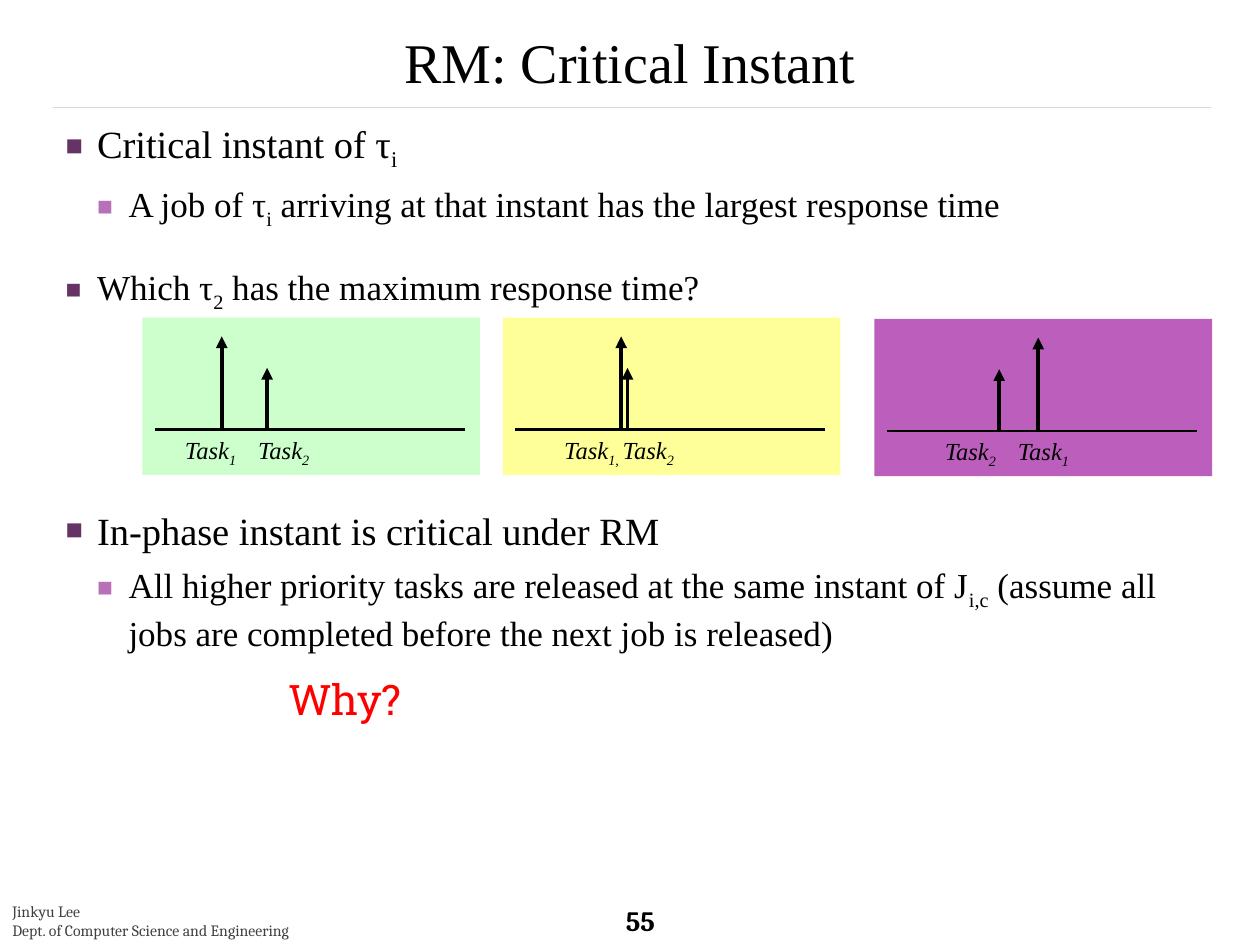
from lxml import etree
from pptx import Presentation
from pptx.dml.color import RGBColor
from pptx.enum.shapes import MSO_CONNECTOR, MSO_SHAPE
from pptx.enum.text import MSO_ANCHOR, MSO_AUTO_SIZE, PP_ALIGN
from pptx.oxml.ns import qn
from pptx.util import Inches, Pt

STRAIGHT = MSO_CONNECTOR.STRAIGHT
RECTANGLE = MSO_SHAPE.RECTANGLE
TOP, MIDDLE = MSO_ANCHOR.TOP, MSO_ANCHOR.MIDDLE
NO_AUTOFIT = MSO_AUTO_SIZE.NONE
CENTER = PP_ALIGN.CENTER

COLORS = {
    "text": "000000", "footer": "404040", "rule": "D9D9D9", "question": "FF0000",
    "bullet": "663366", "sub_bullet": "B870B8",
    "green": "CCFFCC", "yellow": "FFFF99", "purple": "BC5FBC",
}
SERIF, FOOTER_FONT, QUESTION_FONT = "Times New Roman", "Cambria", "Roboto Slab"

# text with subscripts between bars, level, indent, size, space before, bullet colour
BODY = [
    ("Critical instant of τ|i|", 0, 0.25, 22, 0, "bullet"),
    ("A job of τ|i| arriving at that instant has the largest response time",
     1, 0.5, 20, 6, "sub_bullet"),
    ("Which τ|2| has the maximum response time?", 1, 0.25, 20, 20, "bullet"),
    ("In-phase instant is critical under RM", 0, 0.25, 22, 110.5, "bullet"),
    ("All higher priority tasks are released at the same instant of J|i,c| "
     "(assume all jobs are completed before the next job is released)",
     1, 0.5, 20, 6, "sub_bullet"),
]

# left, top, fill, task 1 arrow, task 2 arrow, label offset, label
PANELS = [
    (1.13, 2.52, "green", 0.63, 0.99, 0.24, "Task|1|\tTask|2|"),
    (3.99, 2.52, "yellow", 0.94, 0.99, 0.39, "Task|1, |Task|2|"),
    (6.94, 2.53, "purple", 1.30, 0.99, 0.46, "Task|2|\tTask|1|"),
]
PANEL_WIDTH, PANEL_HEIGHT = 2.68, 1.25
AXIS_START, AXIS_END, AXIS_Y = 0.1, 2.56, 0.89
TASK_1_TOP, TASK_2_TOP = 0.15, 0.4
LABEL_TAB = 0.58


def color(name):
    return RGBColor.from_string(COLORS[name])


def place(shape, left, top, width, height):
    box = {"left": left, "top": top, "width": width, "height": height}
    for name, value in box.items():
        setattr(shape, name, Inches(value))


def write(paragraph, text, size, font=SERIF, color_name="text", **extra):
    """Add the text as runs; every second piece between bars is a subscript."""
    formats = {"size": Pt(size), "name": font, **extra}
    for index, piece in enumerate(text.split("|")):
        if not piece:
            continue
        run = paragraph.add_run()
        run.text = piece
        for name, value in formats.items():
            setattr(run.font, name, value)
        run.font.color.rgb = color(color_name)
        if index % 2:
            run._r.get_or_add_rPr().set("baseline", "-25000")


def add_bullet(paragraph, indent, color_name):
    properties = paragraph._p.get_or_add_pPr()
    properties.set("marL", str(Inches(indent)))
    properties.set("indent", str(Inches(-0.25)))
    bullet_color = etree.SubElement(properties, qn("a:buClr"))
    etree.SubElement(bullet_color, qn("a:srgbClr"), val=COLORS[color_name])
    etree.SubElement(properties, qn("a:buSzPct"), val="75000")
    etree.SubElement(properties, qn("a:buChar"), char="■")


def add_tab(paragraph, position):
    tabs = etree.SubElement(paragraph._p.get_or_add_pPr(), qn("a:tabLst"))
    etree.SubElement(tabs, qn("a:tab"), pos=str(Inches(position)), algn="l")


def add_text(shapes, box, lines, size, anchor=TOP, tab=None, **formats):
    text_box = shapes.add_textbox(*map(Inches, box))
    frame = text_box.text_frame
    frame.word_wrap = True
    frame.vertical_anchor = anchor
    for index, line in enumerate(lines):
        paragraph = frame.add_paragraph() if index else frame.paragraphs[0]
        if tab:
            add_tab(paragraph, tab)
        write(paragraph, line, size, **formats)


def add_line(shapes, start, end, width, color_name="text", arrow=False):
    line = shapes.add_connector(STRAIGHT, *map(Inches, (*start, *end)))
    line.line.color.rgb = color(color_name)
    line.line.width = Pt(width)
    if arrow:
        etree.SubElement(line.line._get_or_add_ln(), qn("a:tailEnd"), type="triangle")
    etree.SubElement(line._element.spPr, qn("a:effectLst"))


def add_panel(slide, left, top, fill, task_1, task_2, label_offset, label):
    """Group a coloured card with a time axis, two release arrows and a label."""
    shapes = slide.shapes.add_group_shape().shapes
    card = shapes.add_shape(
        RECTANGLE, *map(Inches, (left, top, PANEL_WIDTH, PANEL_HEIGHT)))
    card.shadow.inherit = False
    card.fill.solid()
    card.fill.fore_color.rgb = color(fill)
    card.line.fill.background()

    axis = top + AXIS_Y
    add_line(shapes, (left + AXIS_START, axis), (left + AXIS_END, axis), 1.5)
    for offset, tip in ((task_1, TASK_1_TOP), (task_2, TASK_2_TOP)):
        x = left + offset
        add_line(shapes, (x, axis), (x, top + tip), 2.25, arrow=True)
    add_text(shapes, (left + label_offset, top + 0.88, 1.3, 0.34), [label], 14,
             tab=LABEL_TAB if "\t" in label else None, italic=True)


def fill_title(slide):
    title = slide.shapes.title
    place(title, 0, 0.17, 10, 0.6)
    frame = title.text_frame
    frame.auto_size = NO_AUTOFIT
    frame.vertical_anchor = TOP
    frame.paragraphs[0].alignment = CENTER
    write(frame.paragraphs[0], "RM: Critical Instant", 32)


def fill_body(slide):
    body = slide.placeholders[1]
    place(body, 0.42, 0.9, 9.19, 6.44)
    frame = body.text_frame
    frame.auto_size = NO_AUTOFIT
    for index, (text, level, indent, size, space, bullet) in enumerate(BODY):
        paragraph = frame.add_paragraph() if index else frame.paragraphs[0]
        add_bullet(paragraph, indent, bullet)
        paragraph.level = level
        paragraph.space_before = Pt(space)
        write(paragraph, text, size)


def add_footer(slide):
    add_text(slide.shapes, (4.87, 7.15, 0.66, 0.31), ["55"], 16, MIDDLE,
             font=FOOTER_FONT, bold=True)
    add_text(slide.shapes, (0, 7.11, 2.76, 0.4),
             ["Jinkyu Lee", "Dept. of Computer Science and Engineering"], 9,
             font=FOOTER_FONT, color_name="footer")


def main():
    presentation = Presentation()
    presentation.slide_width = Inches(10)
    presentation.slide_height = Inches(7.5)
    slide = presentation.slides.add_slide(presentation.slide_layouts[1])

    add_line(slide.shapes, (0.42, 0.85), (9.61, 0.85), 0.1, "rule")
    add_footer(slide)
    fill_title(slide)
    fill_body(slide)
    for panel in PANELS:
        add_panel(slide, *panel)
    add_text(slide.shapes, (2.19, 5.3, 2.34, 0.5), ["Why?"], 24,
             font=QUESTION_FONT, color_name="question")

    presentation.save("out.pptx")


if __name__ == "__main__":
    main()
